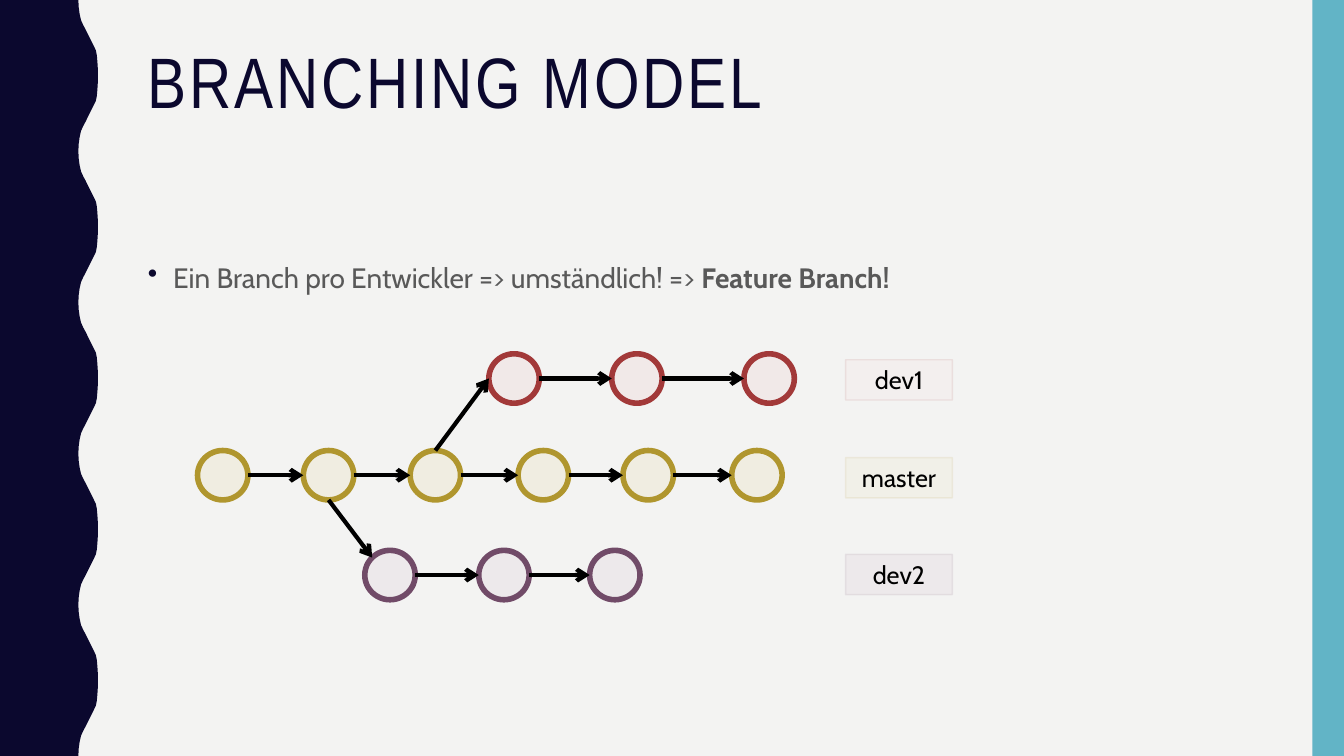
from math import sqrt

from lxml import etree
from pptx import Presentation
from pptx.dml.color import RGBColor
from pptx.enum import shapes, text
from pptx.oxml.ns import qn
from pptx.util import Pt

# Content
TITLE = "BRANCHING MODEL"
MESSAGE = [("Ein Branch pro Entwickler => umständlich! => ", False),
           ("Feature Branch!", True)]
# Each branch: top of its commits, left edge of each commit, top of its label
BRANCHES = {
    "master": dict(top=321.8, commits=[141.1, 216.7, 293, 370.1, 445, 522.7], label=326.9),
    "dev2": dict(top=393.1, commits=[260.6, 342, 421.2], label=396),
    "dev1": dict(top=252.7, commits=[349.2, 437, 531.4], label=257),
}
# Forks: branch, commit number and side at the start, then at the end
FORKS = [(("master", 2, "top"), ("dev1", 0, "left")),
         (("master", 1, "bottom"), ("dev2", 0, "top left"))]

THEME = dict(
    paper="F3F3F2", navy="0B082E", teal="62B4C6", body="595959", ink="000000",
    title_font="Arial Narrow", font="Cabin",
    title_size=51, body_size=20, label_size=18,
    commit_line=4, arrow_line=3, label_line=1, tint=18, faint=10,
    branches={  # outline, commit fill, label fill
        "master": ("B0962E", "E5D699", "EDE3BB"),
        "dev2": ("714B68", "D5C1D0", "D5C1D0"),
        "dev1": ("A23939", "E8BFBF", "F4DFDF"),
    },
)

# Layout
SLIDE_W, SLIDE_H = 960, 540
COMMIT_W, COMMIT_H = 36, 35.3
LABEL_LEFT, LABEL_W, LABEL_H = 604, 76.3, 28.8
TEXT_LEFT, TEXT_W = 98.6, 801.4
WAVE = 108  # height of one full wave
HALF_WAVE = [(56, 0), (56.2, 5), (56.9, 10), (57.9, 14.5), (59.5, 18), (61.1, 21),
             (62.6, 24), (64.1, 27), (65.6, 30), (67.1, 33), (68.5, 36), (69.2, 39.5),
             (69.6, 44), (69.9, 49), (70, 54)]
SIDES = {"left": (0, 0.5), "right": (1, 0.5), "top": (0.5, 0), "bottom": (0.5, 1),
         "top left": (0.5 - sqrt(0.125), 0.5 - sqrt(0.125))}


def rgb(name):
    return RGBColor.from_string(THEME.get(name, name))


def set_alpha(fill, percent):
    color = fill._xPr.find(".//" + qn("a:srgbClr"))
    etree.SubElement(color, qn("a:alpha"), val=str(percent * 1000))


def paint(shape, color, alpha=None):
    shape.shadow.inherit = False
    shape.fill.solid()
    shape.fill.fore_color.rgb = rgb(color)
    shape.line.fill.background()
    if alpha:
        set_alpha(shape.fill, alpha)


def outline(shape, color, width, alpha=None):
    shape.line.width = Pt(width)
    shape.line.fill.solid()
    shape.line.color.rgb = rgb(color)
    if alpha:
        set_alpha(shape.line.fill, alpha)


def add_box(kind, left, top, width, height):
    return slide.shapes.add_shape(kind, Pt(left), Pt(top), Pt(width), Pt(height))


def set_font(paragraph, name, size, color):
    paragraph.font.name = name
    paragraph.font.size = Pt(size)
    paragraph.font.color.rgb = rgb(color)


def add_text(top, height):
    frame = slide.shapes.add_textbox(Pt(TEXT_LEFT), Pt(top), Pt(TEXT_W), Pt(height)).text_frame
    frame.word_wrap = True
    return frame.paragraphs[0]


def commit_point(branch, number, side):
    across, down = SIDES[side]
    row = BRANCHES[branch]
    return row["commits"][number] + across * COMMIT_W, row["top"] + down * COMMIT_H


def add_arrow(start, end):
    points = [Pt(v) for v in (*commit_point(*start), *commit_point(*end))]
    arrow = slide.shapes.add_connector(shapes.MSO_CONNECTOR.STRAIGHT, *points)
    outline(arrow, "ink", THEME["arrow_line"])
    etree.SubElement(arrow.line._get_or_add_ln(), qn("a:tailEnd"), type="arrow")
    etree.SubElement(arrow._element.spPr, qn("a:effectLst"))


deck = Presentation()
deck.slide_width, deck.slide_height = Pt(SLIDE_W), Pt(SLIDE_H)
slide = deck.slides.add_slide(deck.slide_layouts[6])
slide.background.fill.solid()
slide.background.fill.fore_color.rgb = rgb("paper")

# Wavy left edge and right band
full_wave = HALF_WAVE + [(x, WAVE - y) for x, y in HALF_WAVE[-2::-1]]
edge = [(x, y + WAVE * n) for n in range(SLIDE_H // WAVE) for x, y in full_wave]
builder = slide.shapes.build_freeform(0, 0)
builder.add_line_segments([(Pt(x), Pt(y)) for x, y in edge + [(0, SLIDE_H)]], close=True)
paint(builder.convert_to_shape(), "navy")
paint(add_box(shapes.MSO_SHAPE.RECTANGLE, 937.5, 0, 22.5, SLIDE_H), "teal")

# Title
title = add_text(30.2, 117.4)
title.line_spacing = 0.9
set_font(title, THEME["title_font"], THEME["title_size"], "navy")
heading = title.add_run()
heading.text = TITLE
heading.font._element.set("spc", "200")

# Bulleted message
message = add_text(180, 283)
message.line_spacing = 1.1
message.space_before = Pt(7)
set_font(message, THEME["font"], THEME["body_size"], "body")
for words, bold in MESSAGE:
    run = message.add_run()
    run.text = words
    run.font.bold = bold
props = message._p.get_or_add_pPr()
props.set("marL", str(Pt(18)))
props.set("indent", str(-Pt(18)))
bullet_color = etree.Element(qn("a:buClr"))
etree.SubElement(bullet_color, qn("a:srgbClr"), val=THEME["navy"])
bullet = etree.Element(qn("a:buChar"), char="•")
defaults = props.find(qn("a:defRPr"))
for part in (bullet_color, bullet):
    defaults.addprevious(part)

# Commits
for name, branch in BRANCHES.items():
    line, tint, _ = THEME["branches"][name]
    for left in branch["commits"]:
        commit = add_box(shapes.MSO_SHAPE.OVAL, left, branch["top"], COMMIT_W, COMMIT_H)
        paint(commit, tint, THEME["tint"])
        outline(commit, line, THEME["commit_line"])

# Arrows along each branch, then the forks
for name, branch in BRANCHES.items():
    for number in range(len(branch["commits"]) - 1):
        add_arrow((name, number, "right"), (name, number + 1, "left"))
for start, end in FORKS:
    add_arrow(start, end)

# Branch labels
for name, branch in BRANCHES.items():
    line, _, tint = THEME["branches"][name]
    label = add_box(shapes.MSO_SHAPE.RECTANGLE, LABEL_LEFT, branch["label"], LABEL_W, LABEL_H)
    paint(label, tint, THEME["tint"])
    outline(label, line, THEME["label_line"], THEME["faint"])
    label.text_frame.vertical_anchor = text.MSO_ANCHOR.MIDDLE
    caption = label.text_frame.paragraphs[0]
    caption.text = name
    caption.alignment = text.PP_ALIGN.CENTER
    set_font(caption, THEME["font"], THEME["label_size"], "ink")

deck.save("out.pptx")
